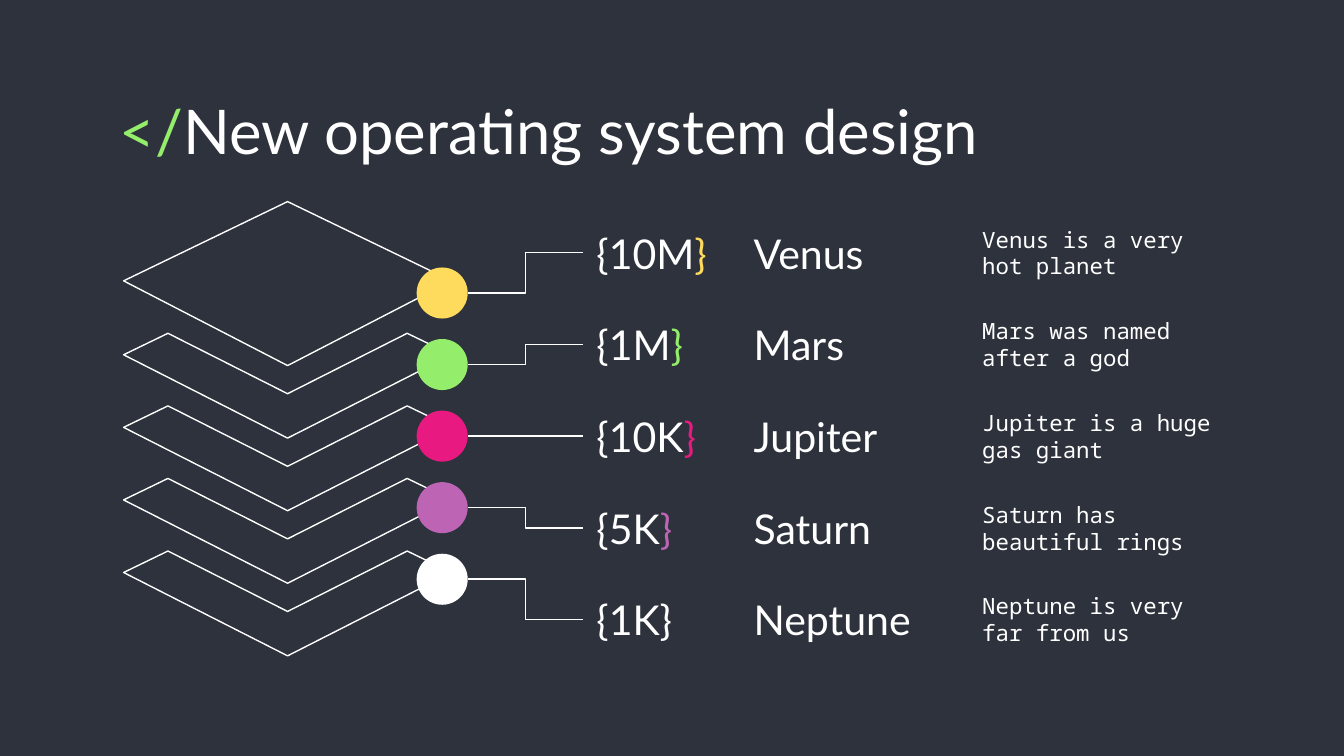
import pptx
import pptx.dml.color
import pptx.enum.shapes
import pptx.enum.text
import pptx.oxml.ns
import pptx.util
from lxml import etree
from pptx.util import Inches

COLORS = {
    "background": "2D323C",
    "white": "FFFFFF",
    "yellow": "FFDB5D",
    "green": "94EE6B",
    "pink": "E81981",
    "purple": "BD64B5",
}
HEADING_FONT = "Lato"
BODY_FONT = "Noto Sans Mono"

# Value, planet, description, accent colour
ROWS = [
    ("10M", "Venus", "Venus is a very hot planet", "yellow"),
    ("1M", "Mars", "Mars was named after a god", "green"),
    ("10K", "Jupiter", "Jupiter is a huge gas giant", "pink"),
    ("5K", "Saturn", "Saturn has beautiful rings", "purple"),
    ("1K", "Neptune", "Neptune is very far from us", "white"),
]

# Layout, in inches
SLIDE_WIDTH = 10
SLIDE_HEIGHT = SLIDE_WIDTH * 9 / 16
ROW_TOP, ROW_HEIGHT, ROW_STEP = 1.63, 0.5, (4.36 - 1.63) / 4
VALUE_LEFT, NAME_LEFT, NOTE_LEFT, RIGHT = 4.34, 5.51, 7.21, 9.22
DOT_LEFT, DOT_TOP, DOT_SIZE, DOT_STEP = 3.1, 1.99, 0.38, (4.12 - 1.99) / 4
LAYER_LEFT, LAYER_TOP, LAYER_STEP = 0.92, 2.48, 0.54

# Layer outlines, relative to their top left corner
DIAMOND = [(1.22, 0), (0, 0.59), (1.22, 1.22), (2.44, 0.59)]
CHEVRON = [(0.33, 0), (0, 0.16), (1.22, 0.78), (2.44, 0.16), (2.11, 0), (1.22, 0.45)]


def rgb(name):
    return pptx.dml.color.RGBColor.from_string(COLORS[name])


def set_text(s, runs, size, font, anchor):
    """Fill a shape with (text, colour) runs."""
    tf = s.text_frame
    tf.word_wrap = True
    tf.auto_size = pptx.enum.text.MSO_AUTO_SIZE.NONE
    tf.vertical_anchor = anchor
    tf.margin_left = tf.margin_right = tf.margin_top = tf.margin_bottom = Inches(0.1)
    p = tf.paragraphs[0]
    p.alignment = pptx.enum.text.PP_ALIGN.LEFT
    for text, color in runs:
        r = p.add_run()
        r.text = text
        r.font.size = pptx.util.Pt(size)
        r.font.name = font
        r.font.color.rgb = rgb(color)


def add_title(slide, runs):
    s = slide.shapes.title
    s.left, s.top, s.width, s.height = map(Inches, (0.79, 0.59, 8.43, 0.63))
    set_text(s, runs, 33, HEADING_FONT, pptx.enum.text.MSO_ANCHOR.TOP)


def add_label(slide, left, right, top, runs, size, font):
    s = slide.shapes.add_textbox(
        Inches(left), Inches(top), Inches(right - left), Inches(ROW_HEIGHT))
    set_text(s, runs, size, font, pptx.enum.text.MSO_ANCHOR.MIDDLE)


def add_row(slide, top, value, name, note, color):
    add_label(slide, VALUE_LEFT, NAME_LEFT, top,
              [("{" + value, "white"), ("}", color)], 22, HEADING_FONT)
    add_label(slide, NAME_LEFT, NOTE_LEFT, top, [(name, "white")], 22, HEADING_FONT)
    add_label(slide, NOTE_LEFT, RIGHT, top, [(note, "white")], 12, BODY_FONT)


def set_line(s):
    s.line.color.rgb = rgb("white")
    s.line.width = pptx.util.Pt(0.75)


def add_elbow(slide, start_y, end_y):
    s = slide.shapes.add_connector(
        pptx.enum.shapes.MSO_CONNECTOR.ELBOW,
        Inches(DOT_LEFT + DOT_SIZE), Inches(start_y),
        Inches(VALUE_LEFT), Inches(end_y))
    set_line(s)
    etree.SubElement(s._element.spPr, pptx.oxml.ns.qn("a:effectLst"))


def add_layer(slide, top, outline):
    points = [(Inches(LAYER_LEFT + x), Inches(top + y)) for x, y in outline]
    builder = slide.shapes.build_freeform(*points[0])
    builder.add_line_segments(points[1:], close=True)
    s = builder.convert_to_shape()
    s.shadow.inherit = False
    s.fill.background()
    set_line(s)


def add_dot(slide, top, color):
    s = slide.shapes.add_shape(
        pptx.enum.shapes.MSO_SHAPE.OVAL,
        Inches(DOT_LEFT), Inches(top), Inches(DOT_SIZE), Inches(DOT_SIZE))
    s.shadow.inherit = False
    s.fill.solid()
    s.fill.fore_color.rgb = rgb(color)
    s.line.fill.background()


def main():
    prs = pptx.Presentation()
    prs.slide_width, prs.slide_height = Inches(SLIDE_WIDTH), Inches(SLIDE_HEIGHT)
    slide = prs.slides.add_slide(prs.slide_layouts[5])
    slide.background.fill.solid()
    slide.background.fill.fore_color.rgb = rgb("background")

    add_title(slide, [("</", "green"), ("New operating system design", "white")])

    # Stack of layers: a full diamond above four chevrons
    add_layer(slide, 1.5, DIAMOND)
    for i in range(len(ROWS) - 1):
        add_layer(slide, LAYER_TOP + i * LAYER_STEP, CHEVRON)

    # One dot, connector and row of labels per layer
    for i, (value, name, note, color) in enumerate(ROWS):
        row_top = ROW_TOP + i * ROW_STEP
        dot_top = DOT_TOP + i * DOT_STEP
        add_row(slide, row_top, value, name, note, color)
        add_elbow(slide, dot_top + DOT_SIZE / 2, row_top + ROW_HEIGHT / 2)
        add_dot(slide, dot_top, color)

    prs.save("out.pptx")


if __name__ == "__main__":
    main()
